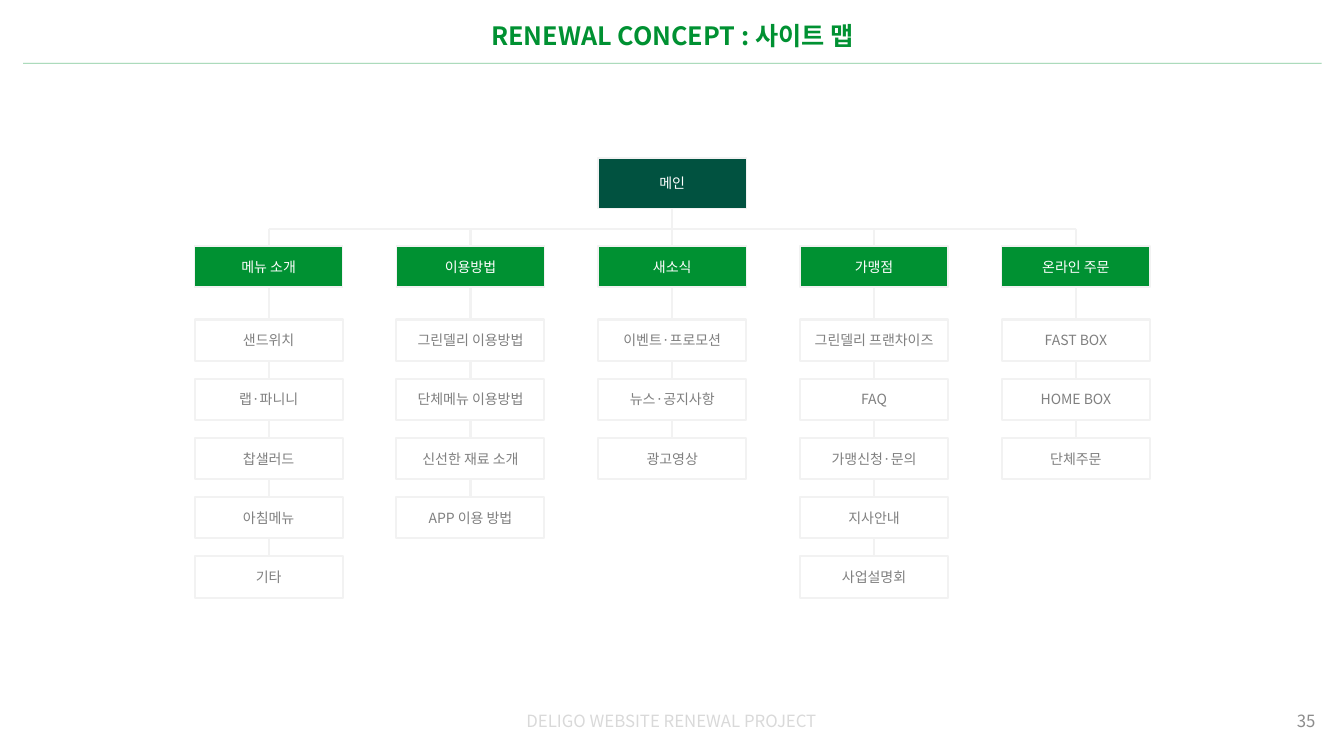
from dataclasses import dataclass

from lxml.etree import SubElement
from pptx import Presentation
from pptx.dml.color import RGBColor
from pptx.enum.shapes import MSO_CONNECTOR as Connector, MSO_SHAPE as Shape
from pptx.enum.text import MSO_ANCHOR as Anchor, PP_ALIGN as Align
from pptx.oxml.ns import qn
from pptx.util import Pt


@dataclass(frozen=True)
class Theme:
    font: str = "Noto Sans CJK KR"
    green: str = "009132"
    dark_green: str = "015240"
    white: str = "FFFFFF"
    pale: str = "F2F2F2"
    item_text: str = "808080"
    footer_text: str = "D9D9D9"
    number_text: str = "8C8C8C"
    title_size: float = 18
    footer_size: float = 12
    label_size: float = 10


THEME = Theme()

SITE_MAP = {
    "메뉴 소개": ["샌드위치", "랩·파니니", "찹샐러드", "아침메뉴", "기타"],
    "이용방법": ["그린델리 이용방법", "단체메뉴 이용방법", "신선한 재료 소개",
             "APP 이용 방법"],
    "새소식": ["이벤트·프로모션", "뉴스·공지사항", "광고영상"],
    "가맹점": ["그린델리 프랜차이즈", "FAQ", "가맹신청·문의", "지사안내", "사업설명회"],
    "온라인 주문": ["FAST BOX", "HOME BOX", "단체주문"],
}


def color(code):
    return RGBColor.from_string(code)


def write(frame, text, size, ink, align=Align.CENTER, anchor=Anchor.MIDDLE, bold=False):
    frame.word_wrap = True
    frame.vertical_anchor = anchor
    para = frame.paragraphs[0]
    para.alignment = align
    span = para.add_run()
    span.text = text
    span.font.size = Pt(size)
    span.font.bold = bold
    span.font.color.rgb = color(ink)
    span.font.name = THEME.font
    # East Asian glyphs take their own typeface entry
    SubElement(span.font._element, qn("a:ea"), typeface=THEME.font)


def add_text(page, left, top, width, height, text, **style):
    box = page.shapes.add_textbox(Pt(left), Pt(top), Pt(width), Pt(height))
    write(box.text_frame, text, **style)


def add_box(page, left, top, width, height, text, fill, ink, border):
    box = page.shapes.add_shape(Shape.RECTANGLE, Pt(left), Pt(top), Pt(width), Pt(height))
    box.shadow.inherit = False
    box.fill.solid()
    box.fill.fore_color.rgb = color(fill)
    box.line.color.rgb = color(THEME.pale)
    box.line.width = Pt(border)
    write(box.text_frame, text, size=THEME.label_size, ink=ink)
    return box


def add_line(page, x1, y1, x2, y2, ink=THEME.pale, weight=1.5, opacity=None):
    line = page.shapes.add_connector(Connector.STRAIGHT, Pt(x1), Pt(y1), Pt(x2), Pt(y2))
    line.line.color.rgb = color(ink)
    line.line.width = Pt(weight)
    properties = line._element.spPr
    if opacity is not None:
        SubElement(properties.find(".//" + qn("a:srgbClr")), qn("a:alpha"),
                   val=str(opacity * 1000))
    SubElement(properties, qn("a:effectLst"))
    return line


def add_header(page, left, top, width, height):
    margin = 83.5
    add_text(page, left + margin, top + 10.8, width - 2 * margin, 28.8,
             "RENEWAL CONCEPT : 사이트 맵", size=THEME.title_size, ink=THEME.green,
             anchor=Anchor.TOP, bold=True)
    add_line(page, left, top + height, left + width, top + height,
             ink=THEME.green, weight=0.5, opacity=50)


def add_footer(page, left, top, width, height):
    label_width, number_width = 324, 216
    add_text(page, left + (width - label_width) / 2, top, label_width, height,
             "DELIGO WEBSITE RENEWAL PROJECT",
             size=THEME.footer_size, ink=THEME.footer_text)
    add_text(page, left + width - number_width, top, number_width, height, "35",
             size=THEME.footer_size, ink=THEME.number_text, align=Align.RIGHT)


def add_site_map(page, left, top, width):
    box_width, box_height, root_height = 105.8, 29.5, 36
    column_step = (width - box_width) / (len(SITE_MAP) - 1)
    row_step = 42.3
    bus_top, section_top, items_top = top + 50.4, top + 62.6, top + 115.2
    lefts = [left + index * column_step for index in range(len(SITE_MAP))]
    centers = [column_left + box_width / 2 for column_left in lefts]
    middle = left + width / 2

    # Trunks lie behind the boxes, so they come first
    trunks = [add_line(page, center, bus_top, center, items_top) for center in centers]
    add_line(page, centers[0], bus_top, centers[-1], bus_top)
    stem = add_line(page, middle, top + root_height, middle, bus_top)

    # Root page
    root = add_box(page, middle - box_width / 2, top, box_width, root_height, "메인",
                   fill=THEME.dark_green, ink=THEME.white, border=1)
    stem.begin_connect(root, 2)

    # One column per section
    for column_left, trunk, (section, items) in zip(lefts, trunks, SITE_MAP.items()):
        add_box(page, column_left, section_top, box_width, box_height, section,
                fill=THEME.green, ink=THEME.white, border=1)
        for row, item in enumerate(items):
            last = add_box(page, column_left, items_top + row * row_step,
                           box_width, box_height, item,
                           fill=THEME.white, ink=THEME.item_text, border=1.5)
        trunk.end_connect(last, 2)


def main():
    deck = Presentation()
    deck.slide_width, deck.slide_height = Pt(960), Pt(540)
    page = deck.slides.add_slide(deck.slide_layouts[6])
    add_header(page, left=16.5, top=0, width=927.5, height=45.2)
    add_footer(page, left=12.6, top=500.4, width=934.2, height=28.8)
    add_site_map(page, left=139, top=113, width=682.4)
    deck.save("out.pptx")


if __name__ == "__main__":
    main()
